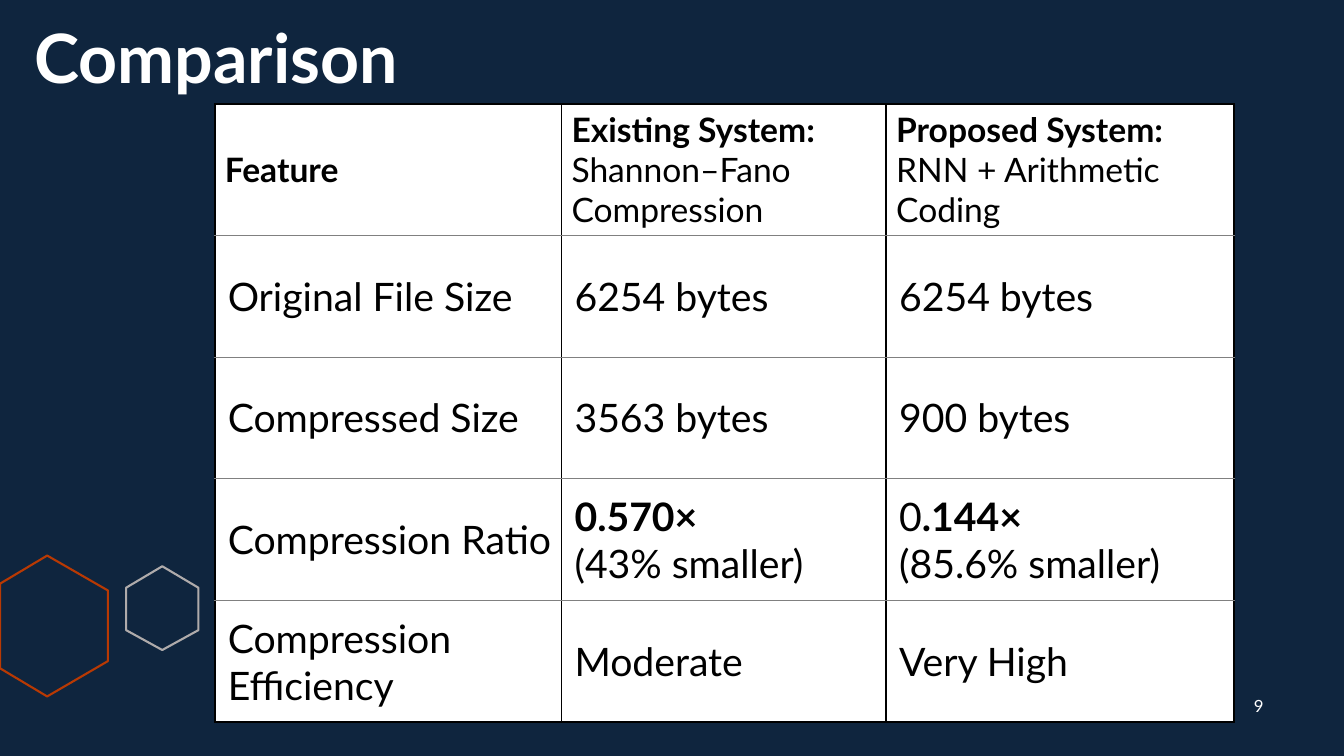
"""Build the comparison slide of two compression systems."""
from dataclasses import dataclass

from lxml.etree import SubElement
from pptx import Presentation
from pptx.dml.color import RGBColor
from pptx.enum.text import MSO_ANCHOR, MSO_AUTO_SIZE, PP_ALIGN
from pptx.oxml.ns import qn
from pptx.slide import Slide
from pptx.table import _Cell
from pptx.text.text import _Paragraph
from pptx.util import Cm, Pt

FONT = "Lato"
COLORS = {
    "navy": "0F253E",
    "white": "FFFFFF",
    "black": "000000",
    "grey": "808080",
    "silver": "AFABAB",
    "rust": "B83903",
}


@dataclass(frozen=True)
class Hexagon:
    """An outlined hexagon with its corners in centimetres."""

    color: str
    corners: tuple[tuple[float, float], ...]


@dataclass(frozen=True)
class Span:
    """A stretch of text in one weight, optionally starting a new line."""

    text: str
    bold: bool = False
    new_line: bool = False


HEXAGONS = (
    Hexagon("rust", ((1.19, 14), (2.72, 14.88), (2.72, 16.66),
                     (1.19, 17.55), (0, 16.84), (0, 14.71))),
    Hexagon("silver", ((4.09, 14.27), (5, 14.81), (5, 15.88),
                       (4.09, 16.38), (3.18, 15.88), (3.18, 14.81))),
)
COLUMN_WIDTHS = (8.74, 8.18, 8.76)
ROW_HEIGHTS = (3.3, 3.07, 3.07, 3.07, 3.07)
ROWS = (
    ((Span("Feature", True),),
     (Span("Existing System: ", True), Span("Shannon–Fano Compression")),
     (Span("Proposed System: ", True), Span("RNN + Arithmetic Coding"))),
    ((Span("Original File Size"),), (Span("6254 bytes"),), (Span("6254 bytes"),)),
    ((Span("Compressed Size"),), (Span("3563 bytes"),), (Span("900 bytes"),)),
    ((Span("Compression Ratio"),),
     (Span("0.570×", True), Span("(43% smaller)", new_line=True)),
     (Span("0"), Span(".144×", True), Span("(85.6% smaller)", new_line=True))),
    ((Span("Compression Efficiency"),), (Span("Moderate"),), (Span("Very High"),)),
)


def rgb(name: str) -> RGBColor:
    """Look up a colour by name."""
    return RGBColor.from_string(COLORS[name])


def add_span(para: _Paragraph, span: Span, size: float, color: str) -> None:
    """Append a formatted span to a paragraph."""
    if span.new_line:
        para.add_line_break()
    run = para.add_run()
    run.text = span.text
    run.font.name = FONT
    run.font.size = Pt(size)
    run.font.bold = span.bold
    run.font.color.rgb = rgb(color)


def add_hexagon(page: Slide, hexagon: Hexagon) -> None:
    """Draw one decorative hexagon outline."""
    start, *others = [(Cm(x), Cm(y)) for x, y in hexagon.corners]
    builder = page.shapes.build_freeform(*start)
    builder.add_line_segments(others, close=True)
    shape = builder.convert_to_shape()
    shape.shadow.inherit = False
    shape.fill.background()
    shape.line.color.rgb = rgb(hexagon.color)
    shape.line.width = Pt(1.5)


def add_border(cell: _Cell, side: str, color: str, width: float) -> None:
    """Set the border on one side of a cell."""
    properties = cell._tc.get_or_add_tcPr()
    line = SubElement(properties, qn(f"a:ln{side}"), w=str(Pt(width)))
    fill = SubElement(line, qn("a:solidFill"))
    SubElement(fill, qn("a:srgbClr"), val=COLORS[color])


def format_cell(cell: _Cell, spans: tuple[Span, ...], row: int) -> None:
    """Fill one cell with its text, borders and background."""
    outer, inner = ("black", 1.5), ("grey", 0.5)
    header, last = row == 0, row == len(ROWS) - 1
    add_border(cell, "L", *outer)
    add_border(cell, "R", *outer)
    add_border(cell, "T", *(outer if header else inner))
    add_border(cell, "B", *(outer if last else inner))
    cell.fill.solid()
    cell.fill.fore_color.rgb = rgb("white")
    cell.vertical_anchor = MSO_ANCHOR.MIDDLE
    if not header:
        cell.margin_left, cell.margin_right = Cm(0.33), Cm(0.2)
        cell.margin_top = cell.margin_bottom = Cm(0.25)
    for span in spans:
        add_span(cell.text_frame.paragraphs[0], span, 24 if header else 28, "black")


def add_comparison(page: Slide) -> None:
    """Add the table that compares both systems."""
    frame = page.shapes.add_table(
        len(ROWS), len(COLUMN_WIDTHS), Cm(5.41), Cm(2.62),
        Cm(sum(COLUMN_WIDTHS)), Cm(sum(ROW_HEIGHTS)))
    table = frame.table
    table.first_row = table.horz_banding = False
    for column, width in zip(table.columns, COLUMN_WIDTHS):
        column.width = Cm(width)
    for row, height in zip(table.rows, ROW_HEIGHTS):
        row.height = Cm(height)
    for row_index, contents in enumerate(ROWS):
        for column_index, spans in enumerate(contents):
            format_cell(table.cell(row_index, column_index), spans, row_index)


def add_title(page: Slide) -> None:
    """Place and format the slide title."""
    title = page.shapes.title
    title.left, title.top = Cm(0.61), Cm(0.41)
    title.width, title.height = Cm(12.19), Cm(2.18)
    title.text_frame.auto_size = MSO_AUTO_SIZE.NONE
    title.text_frame.vertical_anchor = MSO_ANCHOR.BOTTOM
    para = title.text_frame.paragraphs[0]
    para.alignment = PP_ALIGN.LEFT
    para.line_spacing = 0.9
    add_span(para, Span("Comparison", True), 48.6, "white")


def add_page_number(page: Slide) -> None:
    """Add the page number at the lower right."""
    box = page.shapes.add_textbox(Cm(31.09), Cm(17.27), Cm(1.27), Cm(1.02))
    box.text_frame.word_wrap = True
    box.text_frame.vertical_anchor = MSO_ANCHOR.MIDDLE
    para = box.text_frame.paragraphs[0]
    para.alignment = PP_ALIGN.CENTER
    para.space_after = Pt(6)
    add_span(para, Span("9"), 12, "white")


def main() -> None:
    """Create the deck and save it."""
    deck = Presentation()
    deck.slide_width, deck.slide_height = Cm(33.87), Cm(19.05)
    page = deck.slides.add_slide(deck.slide_layouts.get_by_name("Title Only"))
    page.background.fill.solid()
    page.background.fill.fore_color.rgb = rgb("navy")
    for hexagon in HEXAGONS:
        add_hexagon(page, hexagon)
    add_title(page)
    add_page_number(page)
    add_comparison(page)
    deck.save("out.pptx")


if __name__ == "__main__":
    main()
